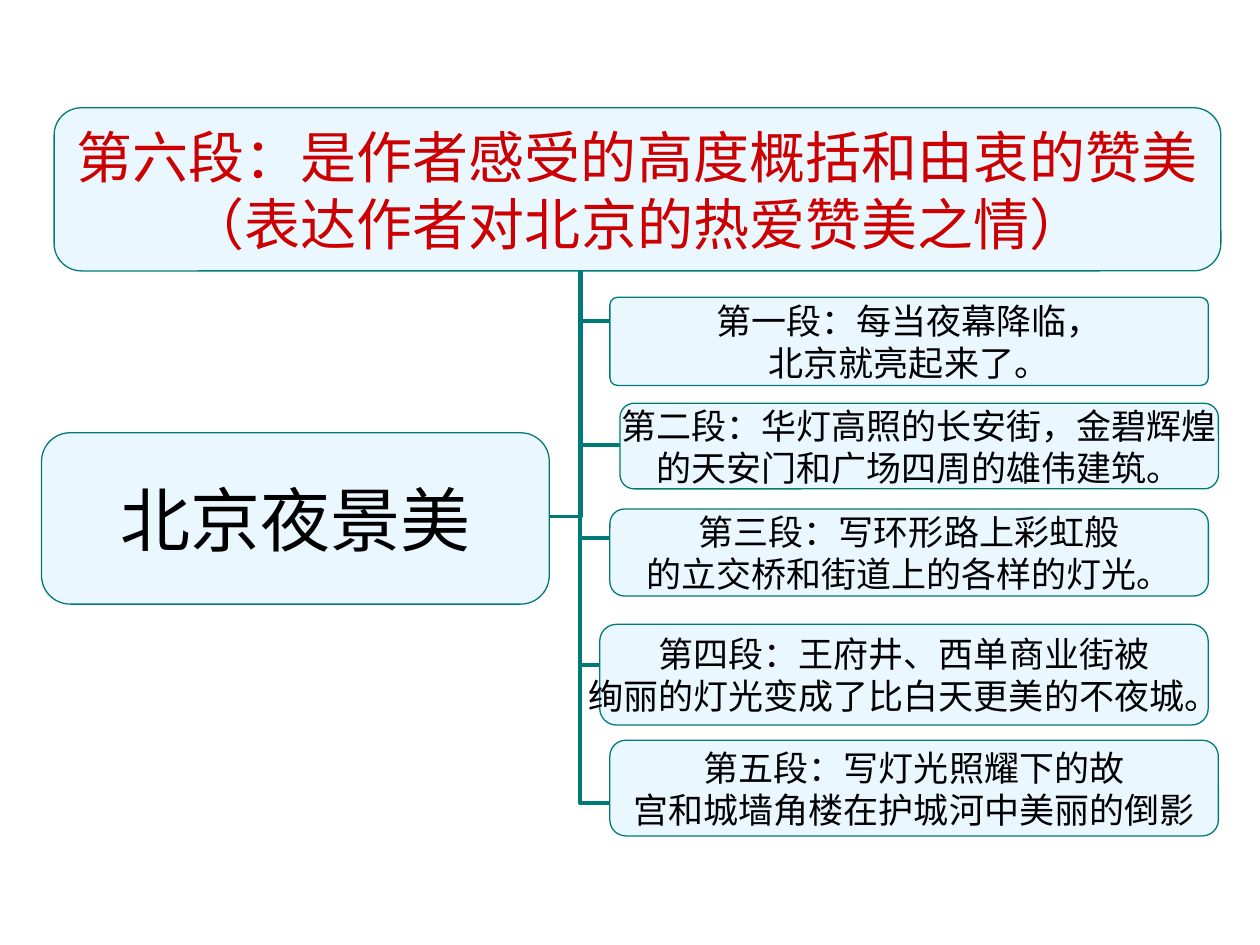
from lxml import etree
from pptx import Presentation
from pptx import util as u
from pptx.dml.color import RGBColor
from pptx.enum import shapes, text
from pptx.oxml.ns import qn

deck = Presentation()
deck.slide_width, deck.slide_height = u.Inches(10), u.Inches(7.5)
col, row = deck.slide_width / 100, deck.slide_height / 75
page = deck.slides.add_slide(deck.slide_layouts[6])


def hue(form, code):
    form.rgb = RGBColor.from_string(code)


def grid(x, y):
    return round(x * col), round(y * row)


trunk = 46
lines = [(40.5, 41, 46.1, 18.3, 0)]
lines += [(trunk, top, end, foot, 180) for top, end, foot in [
    (26.7, 48.4, 63.7),
    (23.6, 48.4, 52.8),
    (21.3, 49.2, 42.7),
    (21.3, 52.7, 35.3),
    (19.8, 52.7, 25.5),
]]
for x, y, end, foot, turn in lines:
    line = page.shapes.add_connector(shapes.MSO_CONNECTOR.ELBOW, *grid(x, y), *grid(end, foot))
    hue(line.line.color, "007A77")
    line.line.width = u.Pt(2.25)
    form = line._element.spPr
    form.find(qn("a:prstGeom")).set("prst", "bentConnector2")
    form.find(qn("a:xfrm")).set("rot", str(turn * 60000))
    etree.SubElement(form, qn("a:effectLst"))

boxes = [
    (4.3, 8.55, 92.6, 12.95, 0.167, "第六段：是作者感受的高度概括和由衷的赞美\n（表达作者对北京的热爱赞美之情）", 32, "CC0000"),
    (48.4, 23.6, 47.5, 7, 0.088, "第一段：每当夜幕降临，\n北京就亮起来了。", 20, "000000"),
    (49.2, 32, 47.5, 6.8, 0.167, "第二段：华灯高照的长安街，金碧辉煌\n的天安门和广场四周的雄伟建筑。", 20, "000000"),
    (48.4, 40.4, 47.5, 6.9, 0.167, "第三段：写环形路上彩虹般\n的立交桥和街道上的各样的灯光。", 20, "000000"),
    (47.6, 49.55, 48.3, 8, 0.167, "第四段：王府井、西单商业街被\n绚丽的灯光变成了比白天更美的不夜城。", 20, "000000"),
    (48.4, 58.75, 48.3, 7.6, 0.167, "第五段：写灯光照耀下的故\n宫和城墙角楼在护城河中美丽的倒影", 20, "000000"),
    (3.3, 34.35, 40.3, 13.6, 0.167, "北京夜景美", 40, "000000"),
]
frame = {
    "margin_left": 0, "margin_right": 0, "margin_top": 0, "margin_bottom": 0,
    "word_wrap": False, "vertical_anchor": text.MSO_ANCHOR.MIDDLE,
}
for x, y, w, h, bend, words, size, ink in boxes:
    box = page.shapes.add_shape(shapes.MSO_SHAPE.ROUNDED_RECTANGLE, *grid(x, y), *grid(w, h))
    box.adjustments[0] = bend
    box.shadow.inherit = False
    box.fill.solid()
    hue(box.fill.fore_color, "EBF7FF")
    hue(box.line.color, "007A77")
    box.line.width = u.Pt(0.75)
    for key, value in frame.items():
        setattr(box.text_frame, key, value)
    box.text_frame.text = words
    for para in box.text_frame.paragraphs:
        para.alignment = text.PP_ALIGN.CENTER
        for key, value in {"name": "Arial", "size": u.Pt(size)}.items():
            setattr(para.font, key, value)
        hue(para.font.color, ink)

deck.save("out.pptx")
